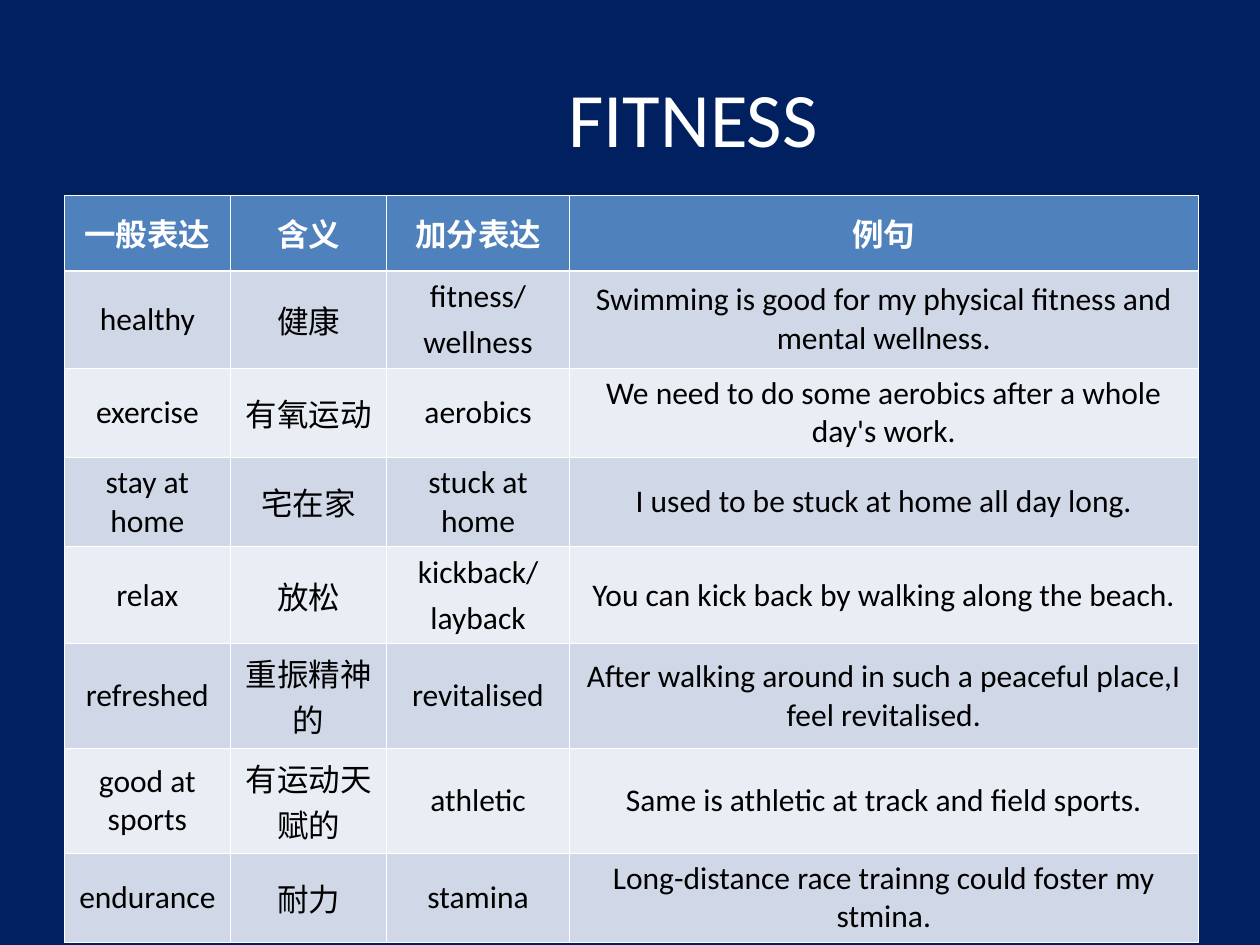
from lxml import etree
from pptx import Presentation, util as u
from pptx.dml.color import RGBColor
from pptx.enum import text
from pptx.oxml.ns import qn

WHITE, BLACK, NAVY, BLUE = "FFFFFF", "000000", "002060", "4F81BD"
BANDS = ["D0D8E8", "E9EDF4"]
COLUMNS = [1.32, 1.24, 1.45, 4.99]
# Rows with two lines of Chinese are the tallest
ROWS = [0.6, 0.77, 0.71, 0.71, 0.77, 0.83, 0.83, 0.71]
WORDS = [
    ["一般表达", "含义", "加分表达", "例句"],
    ["healthy", "健康", "fitness/\nwellness",
     "Swimming is good for my physical fitness and mental wellness."],
    ["exercise", "有氧运动", "aerobics",
     "We need to do some aerobics after a whole day's work."],
    ["stay at home", "宅在家", "stuck at home",
     "I used to be stuck at home all day long."],
    ["relax", "放松", "kickback/\nlayback",
     "You can kick back by walking along the beach."],
    ["refreshed", "重振精神的", "revitalised",
     "After walking around in such a peaceful place,I feel revitalised."],
    ["good at sports", "有运动天赋的", "athletic",
     "Same is athletic at track and field sports."],
    ["endurance", "耐力", "stamina",
     "Long-distance race trainng could foster my stmina."],
]


def style_text(frame, size, color, bold=False):
    frame.word_wrap = True
    for index, para in enumerate(frame.paragraphs):
        para.alignment = text.PP_ALIGN.CENTER
        para.space_before = u.Pt(4.5 if index else 0)
        for span in para.runs:
            span.font.name = "Calibri"
            span.font.size = u.Pt(size)
            span.font.bold = bold
            span.font.color.rgb = RGBColor.from_string(color)


def add_border(cell, side, points):
    """Draw a white line on one side (L, R, T or B); call before filling the cell."""
    line = etree.SubElement(cell._tc.get_or_add_tcPr(), qn(f"a:ln{side}"),
                            w=str(u.Pt(points)))
    fill = etree.SubElement(line, qn("a:solidFill"))
    etree.SubElement(fill, qn("a:srgbClr"), val=WHITE)


deck = Presentation()
deck.slide_width, deck.slide_height = u.Inches(10), u.Inches(7.5)
page = deck.slides.add_slide(deck.slide_layouts[6])
page.background.fill.solid()
page.background.fill.fore_color.rgb = RGBColor.from_string(NAVY)

# Title, pushed right by a one-inch indent
title = page.shapes.add_textbox(u.Inches(0.5), u.Inches(0.3),
                                u.Inches(9), u.Inches(1.25)).text_frame
title.text = "FITNESS"
title.margin_left = u.Inches(1.1)
title.vertical_anchor = text.MSO_ANCHOR.MIDDLE
style_text(title, 44, WHITE)

# Vocabulary table
table = page.shapes.add_table(len(ROWS), len(COLUMNS), u.Inches(0.51), u.Inches(1.55),
                              u.Inches(sum(COLUMNS)), u.Inches(sum(ROWS))).table
for column, width in zip(table.columns, COLUMNS):
    column.width = u.Inches(width)

for r, (height, words) in enumerate(zip(ROWS, WORDS)):
    table.rows[r].height = u.Inches(height)
    header = r == 0
    for c, word in enumerate(words):
        cell = table.cell(r, c)
        cell.text_frame.text = word
        cell.vertical_anchor = text.MSO_ANCHOR.MIDDLE
        style_text(cell.text_frame, 18, WHITE if header else BLACK, header)
        for side in "LRTB":
            under_header = (r, side) in [(0, "B"), (1, "T")]
            add_border(cell, side, 1.47 if under_header else 0.45)
        cell.fill.solid()
        cell.fill.fore_color.rgb = RGBColor.from_string(
            BLUE if header else BANDS[(r - 1) % 2])

deck.save("out.pptx")
